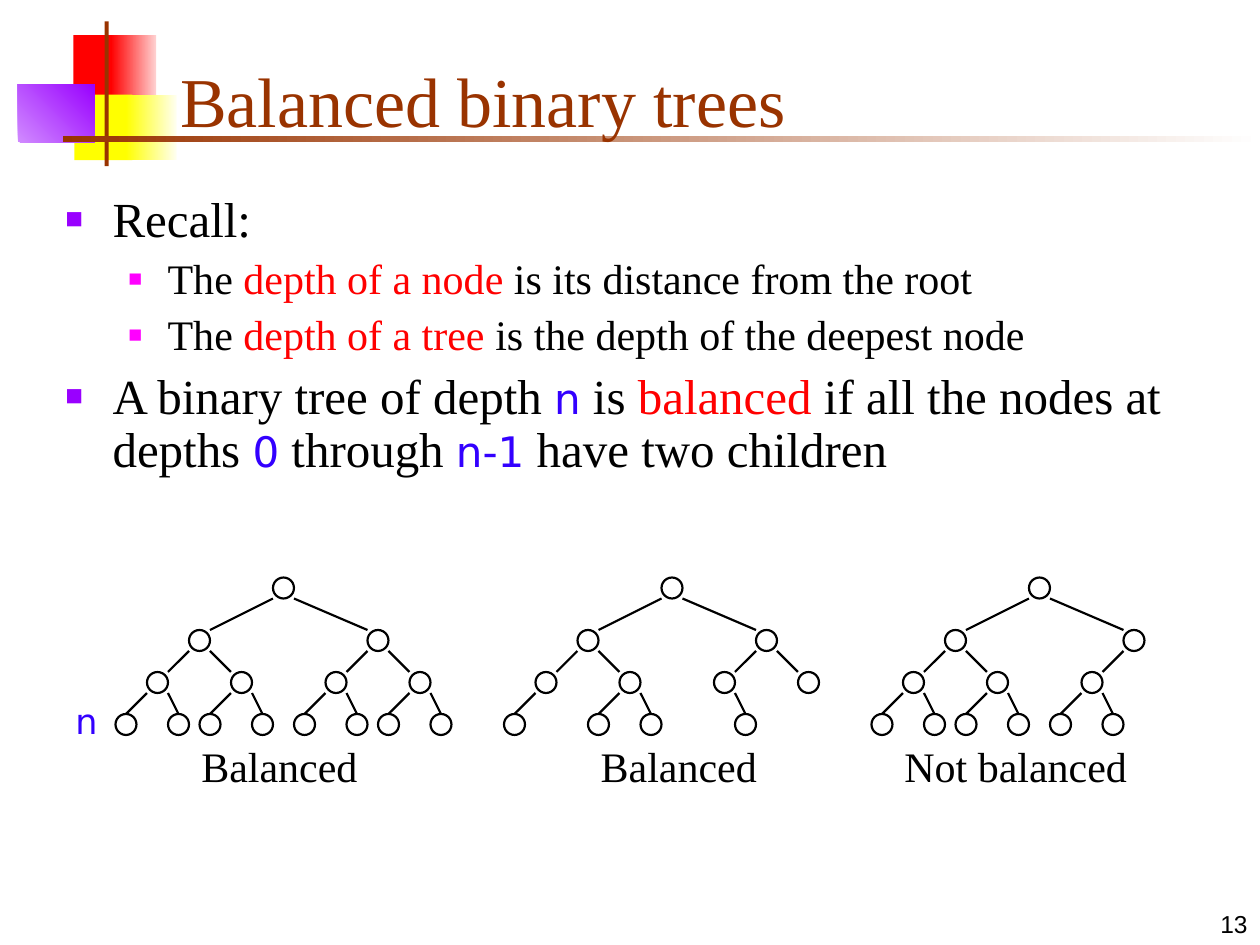
from lxml import etree
from pptx import Presentation
from pptx.dml.color import RGBColor
from pptx.enum.shapes import MSO_CONNECTOR, MSO_SHAPE
from pptx.enum.text import MSO_ANCHOR, PP_ALIGN
from pptx.oxml.ns import qn
from pptx.util import Cm, Pt

RECT, OVAL = MSO_SHAPE.RECTANGLE, MSO_SHAPE.OVAL
LINE = MSO_CONNECTOR.STRAIGHT
TOP, BOTTOM = MSO_ANCHOR.TOP, MSO_ANCHOR.BOTTOM
LEFT, RIGHT = PP_ALIGN.LEFT, PP_ALIGN.RIGHT
SERIF, SANS, MONO = "Times New Roman", "Arial", "DejaVu Sans"
BLACK, BROWN, RED, BLUE = "000000", "993300", "FF0000", "3300FF"
UNIT = 2.54 / 12
NODE = 2
ROWS = [55, 60, 64, 68]
SPOTS = [0, -8, 9, -12, -4, 5, 13, -15, -10, -7, -2, 2, 7, 10, 15]

BARS = [
    ((1.48, 0.71, 0.89, 1.32), [RED], 0),
    ((2.24, 0.71, 0.91, 1.32), [RED, "FFD1D1"], 0),
    ((1.5, 1.91, 1.17, 1.32), ["FFFF00"], 0),
    ((2.54, 1.91, 1.02, 1.32), ["FFFF00", "FFFFF0"], 0),
    ((0.36, 1.7, 1.55, 1.17), ["D18BFF", "9900FF"], 45),
    ((2.11, 0.43, 0.08, 2.92), [BROWN], 0),
    ((1.27, 2.74, 24.13, 0.13), [BROWN, "FFFFFF"], 0),
]
POINTS = [
    (0, [("Recall:", "")]),
    (1, [("The ", ""), ("depth of a node", "key"),
         (" is its distance from the root", "")]),
    (1, [("The ", ""), ("depth of a tree", "key"),
         (" is the depth of the deepest node", "")]),
    (0, [("A binary tree of depth ", ""), ("n", "code"), (" is ", ""),
         ("balanced", "key"), (" if all the nodes at depths ", ""),
         ("0", "code"), (" through ", ""), ("n-1", "code"),
         (" have two children", "")]),
]
LEVELS = [
    {"left": 0.95, "hang": 0.95, "gap": 7, "size": 28,
     "mark": "9900FF", "scale": 60},
    {"left": 2.06, "hang": 0.79, "gap": 6, "size": 24,
     "mark": "FF00FF", "scale": 55},
]
TREES = [
    (26, set(), "Balanced", (3.81, 14.81, 3.81, 1.27)),
    (63, {9, 12, 14, 15}, "Balanced", (11.86, 14.81, 4.01, 1.27)),
    (98, {7, 14, 15}, "Not balanced", (17.98, 14.81, 5.28, 1.27)),
]


def tint(code):
    return RGBColor.from_string(code)


class Deck:
    """Holds the style, the current slide and the shapes being filled."""

    def __init__(self):
        self.file = Presentation()
        self.file.slide_width, self.file.slide_height = Cm(25.4), Cm(19.05)
        self.slide = self.file.slides.add_slide(self.file.slide_layouts[6])
        self.shapes = self.slide.shapes

    def bar(self, box, hues, angle):
        shape = self.shapes.add_shape(RECT, *map(Cm, box))
        shape.shadow.inherit = False
        shape.line.fill.background()
        if len(hues) == 1:
            shape.fill.solid()
            shape.fill.fore_color.rgb = tint(hues[0])
            return
        shape.fill.gradient()
        shape.fill.gradient_angle = angle
        for stop, hue in zip(shape.fill.gradient_stops, hues):
            stop.color.rgb = tint(hue)

    def font(self, run, size, face=SERIF, hue=BLACK):
        run.font.size, run.font.name = Pt(size), face
        run.font.color.rgb = tint(hue)

    def frame(self, box, anchor=TOP):
        frame = self.shapes.add_textbox(*map(Cm, box)).text_frame
        frame.word_wrap, frame.vertical_anchor = True, anchor
        return frame

    def text(self, box, words, size, face=SERIF, hue=BLACK,
             anchor=TOP, align=LEFT):
        frame = self.frame(box, anchor)
        frame.text = words
        para = frame.paragraphs[0]
        para.alignment = align
        self.font(para.runs[0], size, face, hue)

    def bullet(self, para, style):
        props = para._p.get_or_add_pPr()
        props.set("marL", str(Cm(style["left"])))
        props.set("indent", str(-Cm(style["hang"])))
        color = etree.SubElement(props, qn("a:buClr"))
        etree.SubElement(color, qn("a:srgbClr"), val=style["mark"])
        etree.SubElement(props, qn("a:buSzPct"), val=str(style["scale"] * 1000))
        etree.SubElement(props, qn("a:buFont"), typeface=SANS)
        etree.SubElement(props, qn("a:buChar"), char="■")

    def points(self, box, items):
        frame = self.frame(box)
        for i, (level, parts) in enumerate(items):
            para = frame.add_paragraph() if i else frame.paragraphs[0]
            style = LEVELS[level]
            para.level = level
            self.bullet(para, style)
            para.line_spacing = 0.9
            para.space_before = Pt(style["gap"] if i else 0)
            looks = {
                "": (style["size"], SERIF, BLACK),
                "key": (style["size"], SERIF, RED),
                "code": (24, MONO, BLUE),
            }
            for words, look in parts:
                run = para.add_run()
                run.text = words
                self.font(run, *looks[look])

    def node(self, x, y):
        shape = self.shapes.add_shape(
            OVAL, *(Cm(n * UNIT) for n in (x, y, NODE, NODE)))
        shape.shadow.inherit = False
        shape.fill.background()
        self.ink(shape.line)

    def edge(self, *ends):
        link = self.shapes.add_connector(LINE, *(Cm(n * UNIT) for n in ends))
        self.ink(link.line)
        etree.SubElement(link._element.spPr, qn("a:effectLst"))

    def ink(self, line):
        line.color.rgb, line.width = tint(BLACK), Pt(1.25)

    def tree(self, root, gone, label, box):
        self.shapes = self.slide.shapes.add_group_shape().shapes
        self.text(box, label, 24)
        spots = {k: (root + x, ROWS[k.bit_length() - 1])
                 for k, x in enumerate(SPOTS, 1) if k not in gone}
        for k, (x, y) in spots.items():
            self.node(x, y)
            if k > 1:
                up, high = spots[k // 2]
                side = k % 2 * NODE
                tip = NODE / 2 if k > 7 else NODE - side
                self.edge(up + side, high + NODE, x + tip, y)
        self.shapes = self.slide.shapes


def main():
    deck = Deck()
    for bar in BARS:
        deck.bar(*bar)
    deck.text((20.12, 17.78, 5.28, 1.27), "13", 14, SANS,
              anchor=BOTTOM, align=RIGHT)
    deck.text((3.38, 0.64, 21.64, 2.34), "Balanced binary trees", 40,
              hue=BROWN, anchor=BOTTOM)
    deck.points((1.07, 3.81, 23.83, 6.4), POINTS)
    for tree in TREES:
        deck.tree(*tree)
    deck.text((1.27, 13.97, 1.9, 1.12), "n", 20, MONO, BLUE)
    deck.file.save("out.pptx")


if __name__ == "__main__":
    main()
